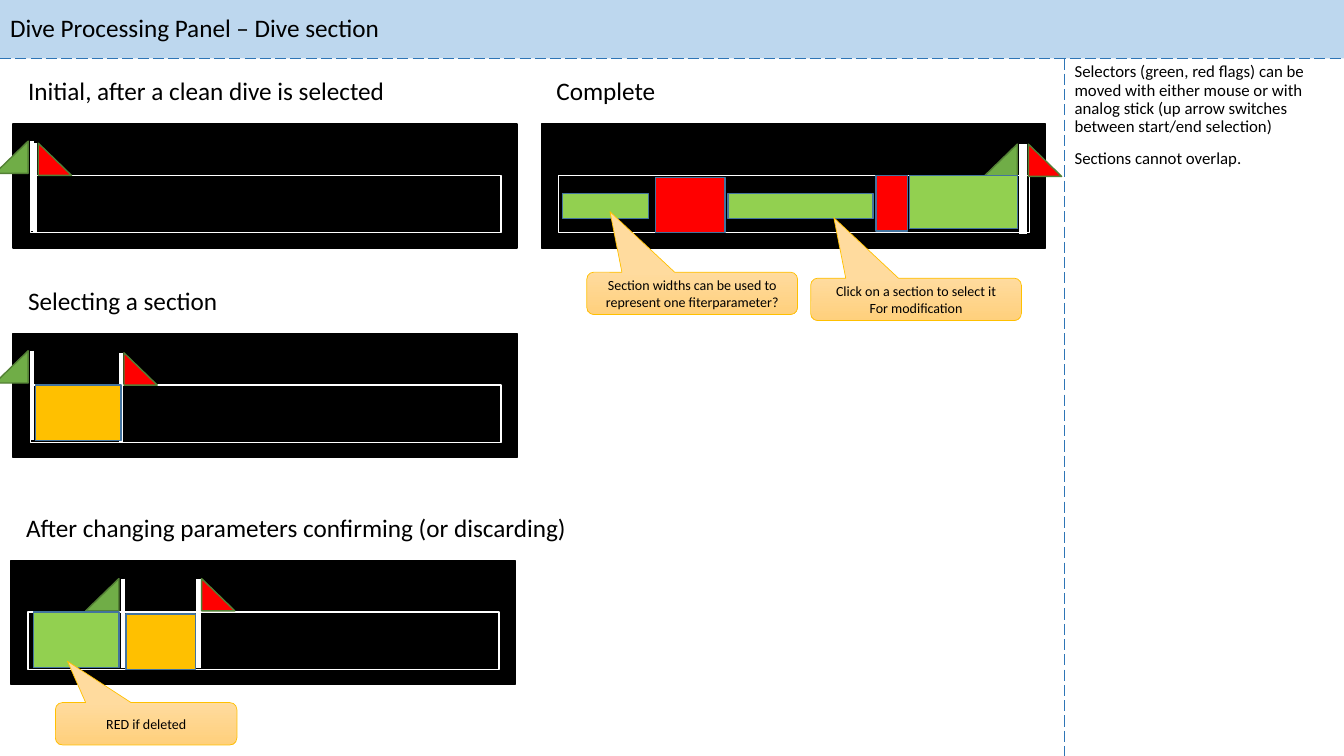
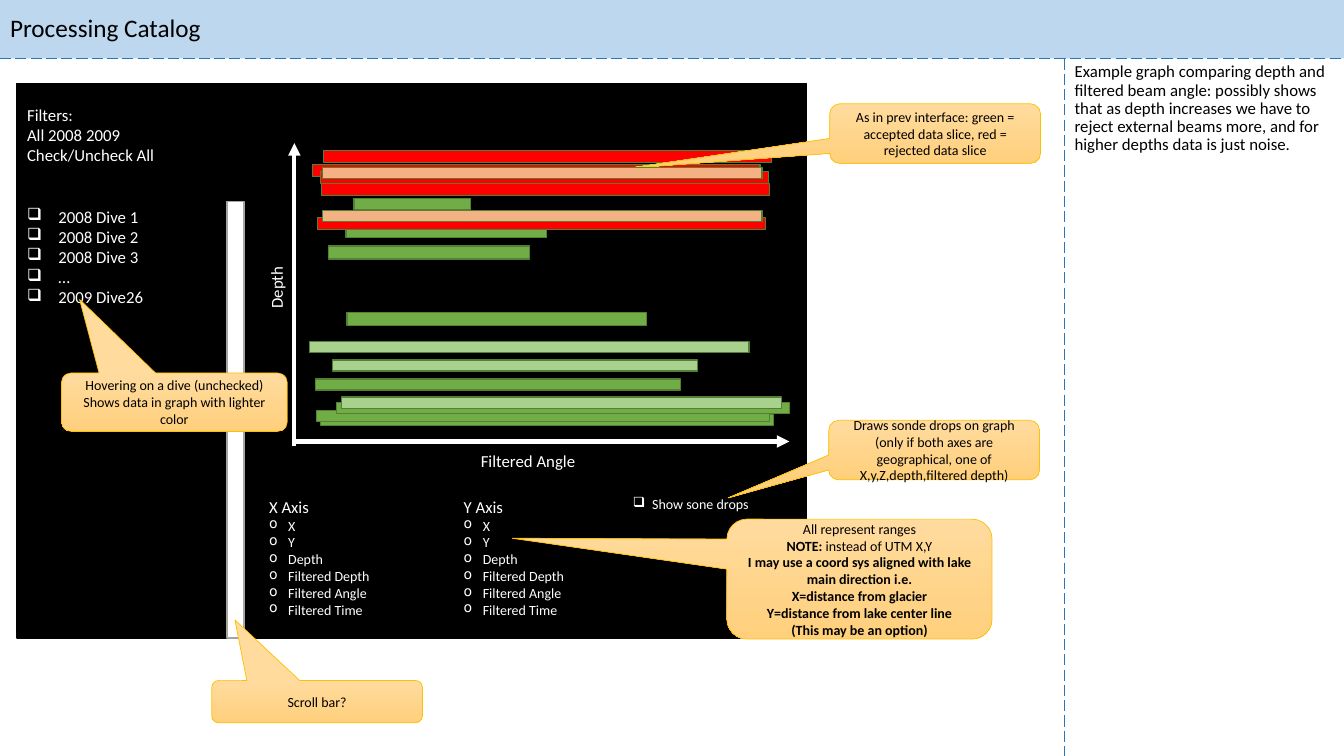
"""Build two slides sketching the dive section panel and the processing catalog."""
from pptx import Presentation
from pptx.dml.color import RGBColor
from pptx.enum.dml import MSO_LINE
from pptx.enum.shapes import MSO_CONNECTOR, MSO_SHAPE as SHAPE
from pptx.enum.text import MSO_ANCHOR as ANCHOR, PP_ALIGN as ALIGN
from pptx.oxml.ns import qn
from pptx.oxml.xmlchemy import OxmlElement
from pptx.util import Pt

PX = 9144
WIDTH, HEIGHT, BAND, DIVIDER = 1333, 750, 58, 1056
FONT = "Calibri"

BLACK = RGBColor(0x00, 0x00, 0x00)
WHITE = RGBColor(0xFF, 0xFF, 0xFF)
GRAY = RGBColor(0xA5, 0xA5, 0xA5)
BAND_BLUE = RGBColor(0xBD, 0xD7, 0xEE)
DASH_BLUE = RGBColor(0x2E, 0x75, 0xB6)
EDGE_BLUE = RGBColor(0x43, 0x73, 0x9E)
GREEN = RGBColor(0x70, 0xAD, 0x47)
EDGE_GREEN = RGBColor(0x53, 0x80, 0x35)
PALE_GREEN = RGBColor(0xA9, 0xD1, 0x8E)
LIME = RGBColor(0x92, 0xD0, 0x50)
RED = RGBColor(0xFF, 0x00, 0x00)
PALE_ORANGE = RGBColor(0xF4, 0xB1, 0x83)
AMBER = RGBColor(0xFF, 0xC0, 0x00)
CALLOUT_TOP = RGBColor(0xFF, 0xDB, 0x9E)
CALLOUT_BOTTOM = RGBColor(0xFF, 0xD0, 0x7C)

SECTION_TITLE = "Dive Processing Panel – Dive section"
SECTION_NOTES = [
    "Selectors (green, red flags) can be moved with either mouse or with analog stick "
    "(up arrow switches between start/end selection)",
    "Sections cannot overlap.",
]
PANELS = [
    {"heading": "Initial, after a clean dive is selected", "heading_width": 379,
     "at": (13, 123), "start": (19, 17), "end": (22, 19), "sections": []},
    {"heading": "Selecting a section", "heading_width": 211,
     "at": (13, 331), "start": (19, 17), "end": (107, 19),
     "sections": [(22, 51, 85, 55, AMBER)]},
    {"heading": "After changing parameters confirming (or discarding)", "heading_width": 563,
     "at": (11, 556), "start": (111, 18), "end": (186, 18),
     "sections": [(22, 51, 85, 55, LIME), (114, 53, 69, 55, AMBER)]},
    {"heading": "Complete", "heading_width": 120,
     "at": (537, 123), "start": (476, 20), "end": (480, 20),
     "sections": [(21, 69, 85, 25, LIME), (113, 53, 69, 55, RED), (185, 69, 144, 25, LIME),
                  (332, 51, 31, 55, RED), (365, 51, 107, 53, LIME)]},
]
SECTION_CALLOUTS = [
    ((55, 697, 180, 42), (67, 656), ["RED if deleted"]),
    ((582, 270, 209, 42), (605, 210),
     ["Section widths can be used to represent one fiterparameter?"]),
    ((804, 276, 209, 42), (827, 216), ["Click on a section to select it", "For modification"]),
]

CATALOG_TITLE = "Processing Catalog"
CATALOG_NOTES = [
    "Example graph comparing depth and filtered beam angle: possibly shows that as depth "
    "increases we have to reject external beams more, and for higher depths data is just noise.",
]
FILTERS = ["Filters:", "All 2008 2009", "Check/Uncheck All"]
DIVES = ["2008 Dive 1", "2008 Dive 2", "2008 Dive 3", "…", "2009 Dive26"]
AXIS_MENUS = [("X Axis", 257), ("Y Axis", 450)]
AXIS_CHOICES = ["X", "Y", "Depth", "Filtered Depth", "Filtered Angle", "Filtered Time"]
GRAPH_AXES = [((292, 442), (292, 142)), ((292, 438), (783, 438))]
SLICES = [
    (GREEN, 11, [(318, 411, 449), (314, 407, 449), (334, 399, 449), (313, 376, 362),
                 (351, 197, 116)]),
    (GREEN, 13, [(344, 310, 297), (326, 244, 199), (343, 223, 199)]),
    (RED, 12, [(left, top, 444) for left, top in
               [(319, 182), (315, 216), (310, 163), (318, 170), (321, 149)]]),
]
HOVERED_SLICES = [
    (PALE_GREEN, 11, [(330, 357, 362), (339, 394, 436), (307, 339, 436)]),
    (PALE_ORANGE, 11, [(320, 209, 436), (320, 166, 436)]),
]
CATALOG_CALLOUTS = [
    ((210, 675, 209, 42), (233, 615), ["Scroll bar?"]),
    ((61, 370, 224, 58), (79, 297),
     ["Hovering on a dive (unchecked)", "Shows data in graph with lighter color"]),
    ((721, 515, 263, 119), (508, 534), [
        "All represent ranges",
        [("NOTE:", True), (" instead of UTM X,Y", False)],
        [("I may use a coord sys aligned with lake main direction i.e.", True)],
        [("X=distance from glacier", True)],
        [("Y=distance from lake center line", True)],
        [("(This may be an option)", True)]]),
    ((823, 103, 209, 59), (622, 167),
     ["As in prev interface: green = accepted data slice, red = rejected data slice"]),
    ((822, 417, 209, 59), (722, 494),
     ["Draws sonde drops on graph",
      "(only if both axes are geographical, one of X,y,Z,depth,filtered depth)"]),
]


def emu(lengths):
    return [length * PX for length in lengths]


def write(frame, lines, size=12, color=BLACK, align=ALIGN.LEFT, bullet=None, indent=19,
          spacing=None, before=None):
    for line in lines:
        para = frame.add_paragraph() if frame.text else frame.paragraphs[0]
        para.alignment = align
        para.line_spacing = spacing
        if before:
            para.space_before = Pt(before)
        if bullet:
            props = para._p.get_or_add_pPr()
            props.set("marL", str(indent * PX))
            props.set("indent", str(-indent * PX))
            mark = OxmlElement("a:buChar")
            mark.set("char", bullet)
            props.append(mark)
        for text, bold in [(line, False)] if isinstance(line, str) else line:
            span = para.add_run()
            span.text = text
            span.font.name = FONT
            span.font.size = Pt(size)
            span.font.bold = bold
            span.font.color.rgb = color


def add_text(page, at, lines, wrap=True, **style):
    box = page.shapes.add_textbox(*emu(at))
    box.text_frame.word_wrap = wrap
    write(box.text_frame, lines, **style)
    return box


def add_shape(page, at, fill, edge, kind=SHAPE.RECTANGLE, edge_width=1):
    shape = page.shapes.add_shape(kind, *emu(at))
    shape.shadow.inherit = False
    if fill is None:
        shape.fill.background()
    else:
        shape.fill.solid()
        shape.fill.fore_color.rgb = fill
    shape.line.color.rgb = edge
    shape.line.width = Pt(edge_width)
    return shape


def add_line(page, start, end, color=WHITE, width=3, dashed=False, arrow=False):
    line = page.shapes.add_connector(MSO_CONNECTOR.STRAIGHT, *emu(start + end))
    line.line.color.rgb = color
    line.line.width = Pt(width)
    if dashed:
        line.line.dash_style = MSO_LINE.LONG_DASH
    props = line.element.spPr
    if arrow:
        head = OxmlElement("a:tailEnd")
        head.set("type", "triangle")
        props.find(qn("a:ln")).append(head)
    props.append(OxmlElement("a:effectLst"))


def add_callout(page, at, tip, lines):
    left, top, width, height = at
    callout = add_shape(page, at, CALLOUT_TOP, AMBER, SHAPE.ROUNDED_RECTANGULAR_CALLOUT, 0.5)
    callout.fill.gradient()
    callout.fill.gradient_angle = 270
    for stop, color in zip(callout.fill.gradient_stops, (CALLOUT_TOP, CALLOUT_BOTTOM)):
        stop.color.rgb = color
    callout.adjustments[0] = (tip[0] - left) / width - 0.5
    callout.adjustments[1] = (tip[1] - top) / height - 0.5
    callout.text_frame.word_wrap = True
    write(callout.text_frame, lines, size=10, align=ALIGN.CENTER)


def add_page(deck, heading, notes):
    page = deck.slides.add_slide(deck.slide_layouts[5])
    title = page.shapes.title
    title.left, title.top, title.width, title.height = emu((0, 0, WIDTH, BAND))
    title.fill.solid()
    title.fill.fore_color.rgb = BAND_BLUE
    title.text_frame.vertical_anchor = ANCHOR.MIDDLE
    write(title.text_frame, [heading], size=18, spacing=0.9)
    for start, end in [((DIVIDER, BAND), (DIVIDER, HEIGHT)), ((0, BAND), (WIDTH, BAND))]:
        add_line(page, start, end, DASH_BLUE, 1, dashed=True)
    add_text(page, (DIVIDER, BAND, WIDTH - DIVIDER, HEIGHT - BAND), notes,
             spacing=0.9, before=10)
    return page


def add_flag(page, pole, top, offset, color, mirrored=False):
    add_line(page, (pole, top), (pole, top + 89))
    flag = add_shape(page, (pole + offset, top, 33, 32), color, EDGE_GREEN,
                     SHAPE.RIGHT_TRIANGLE)
    if mirrored:
        flag.element.spPr.find(qn("a:xfrm")).set("flipH", "1")


def add_panel(page, panel):
    left, top = panel["at"]
    add_shape(page, (left, top, 500, 123), BLACK, BLACK)
    add_shape(page, (left + 17, top + 51, 467, 57), None, WHITE)
    add_text(page, (left + 5, top - 53, panel["heading_width"], 40), [panel["heading"]],
             wrap=False, size=18)
    for key, offset, color in [("start", -37, GREEN), ("end", 3, RED)]:
        pole, drop = panel[key]
        add_flag(page, left + pole, top + drop, offset, color, mirrored=key == "start")
    for x, y, width, height, color in panel["sections"]:
        add_shape(page, (left + x, top + y, width, height), color, EDGE_BLUE)


def add_slices(page, groups):
    for color, height, bars in groups:
        for bar in bars:
            add_shape(page, (*bar, height), color, EDGE_GREEN)


def build_section_page(deck):
    page = add_page(deck, SECTION_TITLE, SECTION_NOTES)
    for panel in PANELS:
        add_panel(page, panel)
    for callout in SECTION_CALLOUTS:
        add_callout(page, *callout)


def build_catalog_page(deck):
    page = add_page(deck, CATALOG_TITLE, CATALOG_NOTES)
    add_shape(page, (17, 83, 783, 550), BLACK, BLACK)
    add_text(page, (17, 200, 225, 111), DIVES, color=WHITE, bullet="❑", indent=31)
    add_shape(page, (225, 200, 17, 433), WHITE, GRAY)
    add_text(page, (17, 99, 158, 71), FILTERS, color=WHITE)
    for start, end in GRAPH_AXES:
        add_line(page, start, end, arrow=True)
    for name, left in AXIS_MENUS:
        menu = add_text(page, (left, 488, 225, 131), [name], color=WHITE)
        write(menu.text_frame, AXIS_CHOICES, size=10, color=WHITE, bullet="o")
    add_text(page, (195, 222, 158, 30), ["Depth"], color=WHITE).rotation = 270
    add_text(page, (467, 442, 158, 30), ["Filtered Angle"], color=WHITE)
    add_text(page, (618, 487, 166, 27), ["Show sone drops"], size=10, color=WHITE, bullet="❑")
    add_slices(page, SLICES)
    for callout in CATALOG_CALLOUTS:
        add_callout(page, *callout)
    add_slices(page, HOVERED_SLICES)


def main():
    deck = Presentation()
    deck.slide_width, deck.slide_height = emu((WIDTH, HEIGHT))
    build_section_page(deck)
    build_catalog_page(deck)
    deck.save("out.pptx")


if __name__ == "__main__":
    main()
